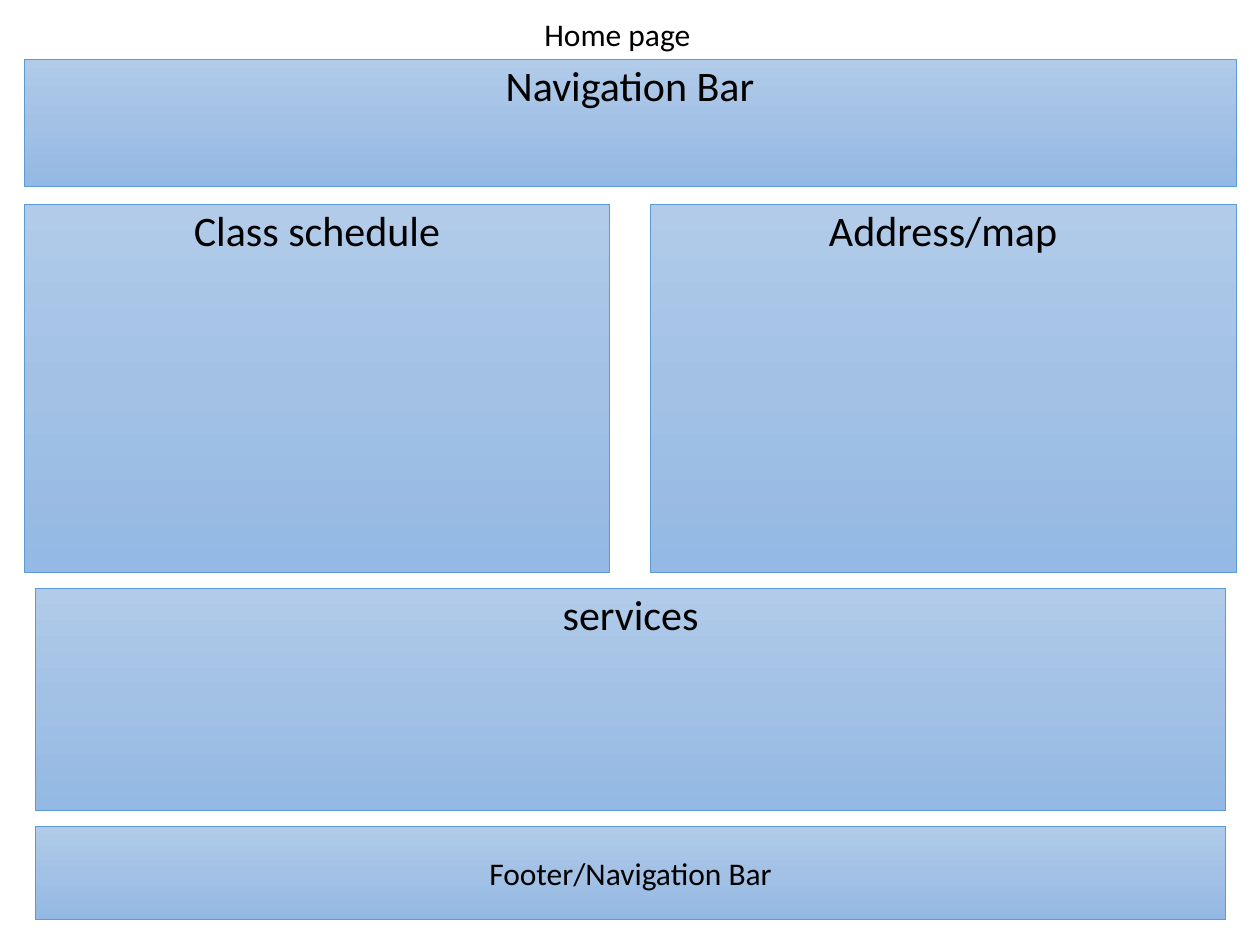
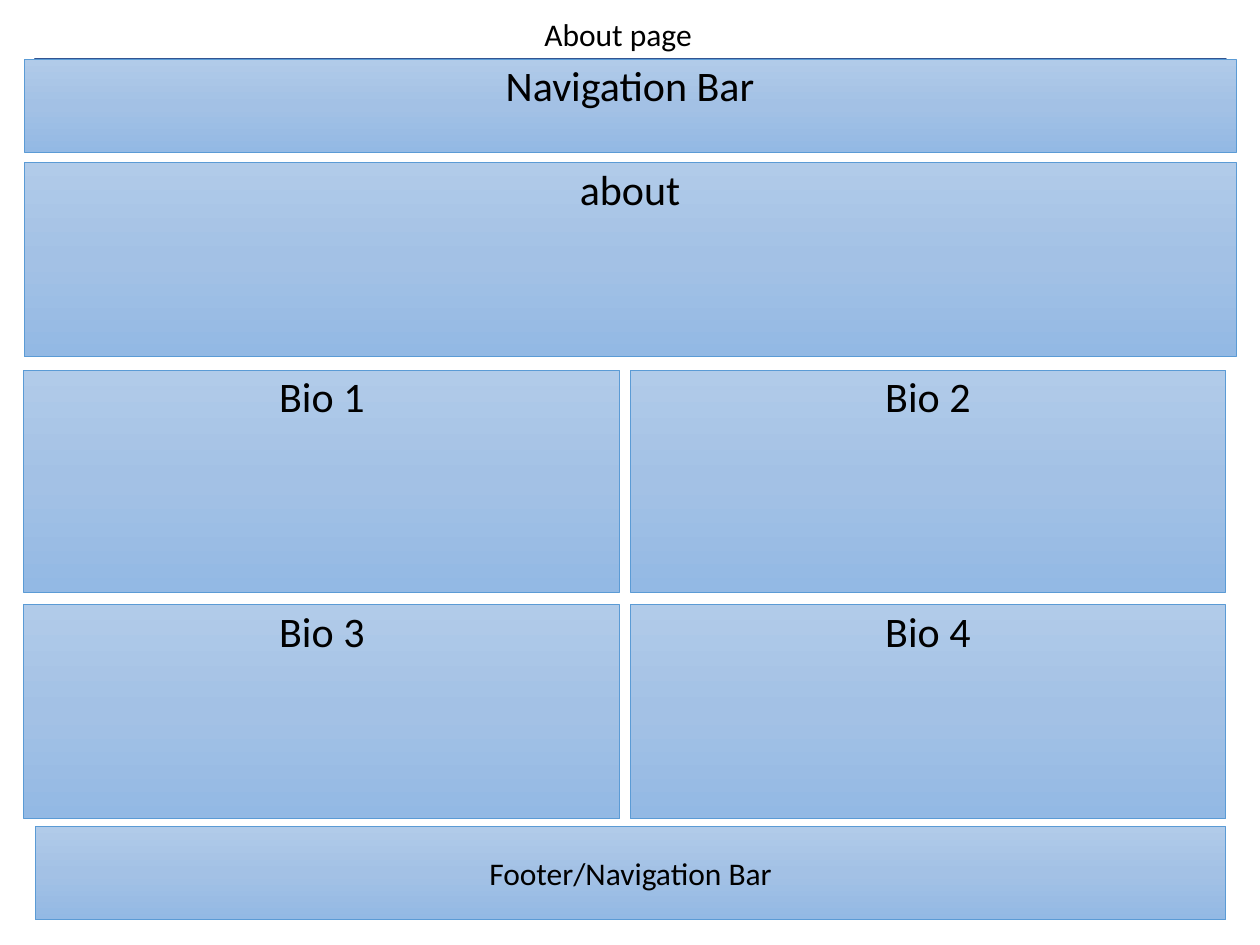
from copy import deepcopy
from pptx import Presentation
from pptx import util as u
from pptx.dml.color import RGBColor
from pptx.enum import shapes, text

# The grid: 10 columns by 7.5 rows, one inch to a cell.
COLS, ROWS = 10, 7.5
CELL = u.Inches(1)
EDGE, INSET = 0.19, 0.28
WIDE, SLIM = COLS - 2 * EDGE, 9.45
TOP, BAR = 0.47, 0.74

FONT, INK = "Calibri", "000000"
FADE = ((0, "B1CBE9"), (0.5, "A3C1E5"), (1, "93B9E4"))
RIM, BASE, BASE_RIM = "5B9BD5", "4472C4", "325491"

HEAD = dict(alignment=text.PP_ALIGN.CENTER, line_spacing=0.9,
            space_before=u.Pt(10))
PLAIN = dict(alignment=text.PP_ALIGN.CENTER)
LABEL = dict(alignment=text.PP_ALIGN.LEFT)


def paint(color, code):
    """Set a colour from a hex string."""
    color.rgb = RGBColor.from_string(code)


def apply(item, form):
    """Set attributes from a dict of format values."""
    for name, value in form.items():
        setattr(item, name, value)


def place(box):
    """Turn a box in grid cells into slide lengths."""
    return [int(n * CELL) for n in box]


def write(shape, words, size, form, anchor=text.MSO_ANCHOR.TOP,
          fit=text.MSO_AUTO_SIZE.NONE):
    """Write one styled paragraph into a shape."""
    frame = shape.text_frame
    apply(frame, dict(
        text=words, word_wrap=True, auto_size=fit, vertical_anchor=anchor,
        margin_left=u.Inches(0.1), margin_right=u.Inches(0.1),
        margin_top=u.Inches(0.05), margin_bottom=u.Inches(0.05)))
    para = frame.paragraphs[0]
    apply(para, form)
    font = para.runs[0].font
    apply(font, dict(name=FONT, size=u.Pt(size), bold=False))
    paint(font.color, INK)


def rect(slide, box, rim, weight):
    """Add a rectangle with an outline and no shadow."""
    shape = slide.shapes.add_shape(shapes.MSO_SHAPE.RECTANGLE, *place(box))
    shape.shadow.inherit = False
    paint(shape.line.color, rim)
    shape.line.width = u.Pt(weight)
    return shape


def fade(shape):
    """Fill a shape with the three-stop gradient, top to bottom."""
    fill = shape.fill
    fill.gradient()
    fill.gradient_angle = 270
    first = shape._element.spPr.xpath("a:gradFill/a:gsLst/a:gs")[0]
    first.addnext(deepcopy(first))
    for stop, (spot, code) in zip(fill.gradient_stops, FADE):
        stop.position = spot
        paint(stop.color, code)


def panel(slide, box, words, size=24, form=HEAD,
          anchor=text.MSO_ANCHOR.TOP):
    """Add a gradient panel with its heading."""
    shape = rect(slide, box, RIM, 0.5)
    fade(shape)
    write(shape, words, size, form, anchor)


def grid(slide, box, names, gap, tall):
    """Fill a box with rows of two panels; tall lists the row heights."""
    left, top, width, height = box
    wide = (width - gap) / 2
    space = (height - sum(tall)) / max(len(tall) - 1, 1)
    for i, name in enumerate(names):
        row, col = divmod(i, 2)
        y = top + sum(tall[:row]) + row * space
        panel(slide, (left + col * (wide + gap), y, wide, tall[row]), name)


def base(slide, box):
    """Add the solid bar whose lower edge shows below the top band."""
    shape = rect(slide, box, BASE_RIM, 1)
    shape.fill.solid()
    paint(shape.fill.fore_color, BASE)


def page(deck, name, deep):
    """Start a slide with its title, top band and footer."""
    slide = deck.slides.add_slide(deck.slide_layouts[5])
    title = slide.shapes.title
    apply(title, dict(zip(("left", "top", "width", "height"),
                          place((4.22, 0.07, 1.73, 0.4)))))
    write(title, name, 18, LABEL, fit=text.MSO_AUTO_SIZE.SHAPE_TO_FIT_TEXT)
    if deep == BAR:
        base(slide, (INSET, TOP, SLIM, BAR))
    panel(slide, (EDGE, TOP, WIDE, deep), "Navigation Bar")
    panel(slide, (INSET, 6.56, SLIM, BAR), "Footer/Navigation Bar", 18,
          PLAIN, text.MSO_ANCHOR.MIDDLE)
    return slide


def home(deck):
    """Build the home page."""
    slide = page(deck, "Home page", 1.01)
    grid(slide, (EDGE, 1.62, WIDE, 2.92),
         ("Class schedule", "Address/map"), 0.32, (2.92,))
    panel(slide, (INSET, 4.67, SLIM, 1.76), "services")


def about(deck):
    """Build the about page."""
    slide = page(deck, "About page", BAR)
    panel(slide, (EDGE, 1.29, WIDE, 1.54), "about")
    grid(slide, (EDGE, 2.94, 9.54, 3.56),
         [f"Bio {n}" for n in range(1, 5)], 0.08, (1.76, 1.7))


deck = Presentation()
deck.slide_width, deck.slide_height = place((COLS, ROWS))
home(deck)
about(deck)
deck.save("out.pptx")
